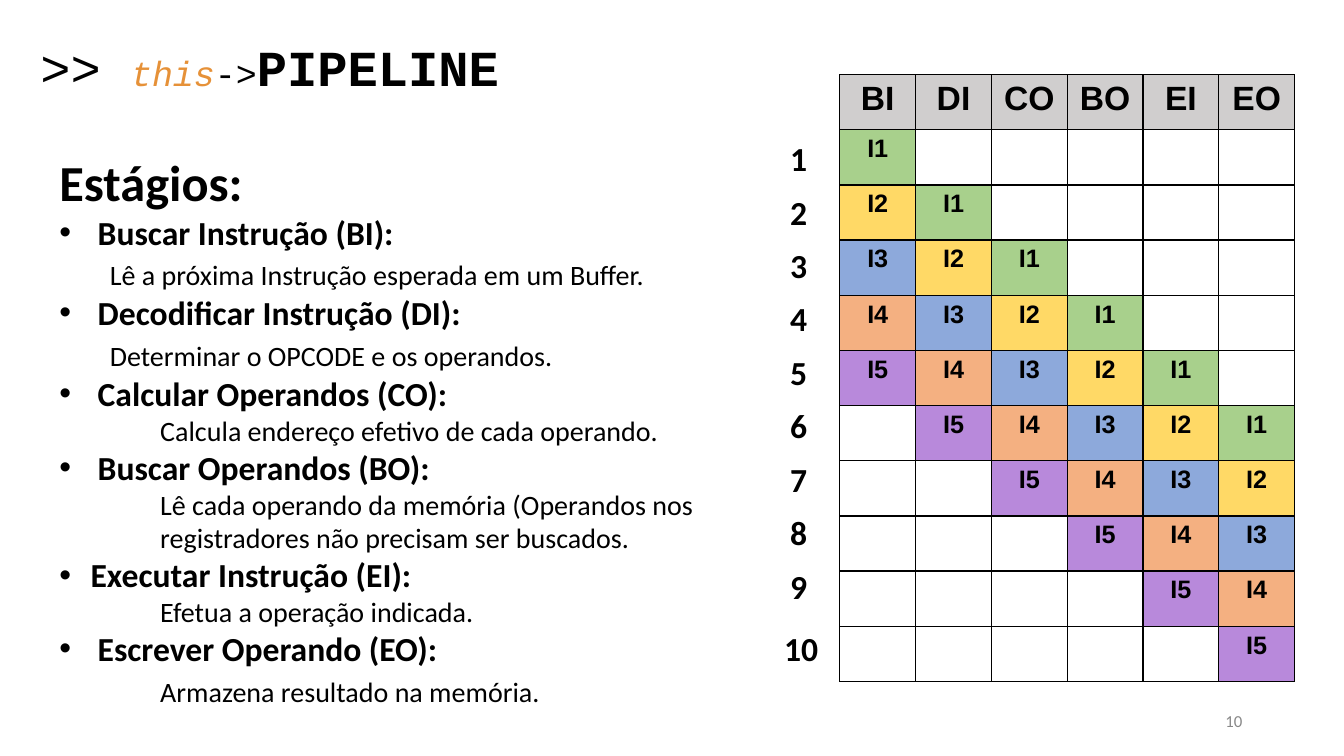
from dataclasses import dataclass

from lxml import etree
from pptx import Presentation
from pptx.dml.color import RGBColor
from pptx.enum.text import MSO_ANCHOR, PP_ALIGN
from pptx.oxml.ns import qn
from pptx.util import Emu, Inches, Pt

CENTER, RIGHT = PP_ALIGN.CENTER, PP_ALIGN.RIGHT
TOP, MIDDLE = MSO_ANCHOR.TOP, MSO_ANCHOR.MIDDLE
SLIDE_WIDTH, SLIDE_HEIGHT = Inches(13.33), Inches(7.5)


@dataclass(frozen=True)
class Theme:
    body: str = "Calibri"
    code: str = "Courier New"
    grid: str = "Arial"
    ink: str = "000000"
    accent: str = "E69138"
    muted: str = "888888"
    header_fill: str = "D0CECE"
    instruction_fills: tuple[str, ...] = ("A8D08C", "FFD966", "8DA9DB", "F4B081", "B889DB")
    title: int = 36
    keyword: int = 25
    heading: int = 24
    detail: int = 20
    cell: int = 18
    footer: int = 12
    border: int = 1


THEME = Theme()


@dataclass(frozen=True)
class Area:
    """Left, top, width and height in percent of the slide."""
    left: float
    top: float
    width: float
    height: float


@dataclass(frozen=True)
class Style:
    size: float
    font: str = THEME.body
    color: str = THEME.ink
    bold: bool = False
    italic: bool = False


@dataclass(frozen=True)
class Stage:
    code: str
    name: str
    detail: str
    detail_indent: float
    level: int = 0
    tab_size: int = 0  # 0: the detail has no leading tab
    hanging: float = 0.38


STAGES = (
    Stage("BI", "Buscar Instrução", "Lê a próxima Instrução esperada em um Buffer.", 0, 0, THEME.heading),
    Stage("DI", "Decodificar Instrução", "Determinar o OPCODE e os operandos.", 0, 0, THEME.heading),
    Stage("CO", "Calcular Operandos", "Calcula endereço efetivo de cada operando.", 0.5, 1, THEME.cell),
    Stage("BO", "Buscar Operandos",
          "Lê cada operando da memória (Operandos nos registradores não precisam ser buscados.", 1, 2),
    Stage("EI", "Executar Instrução", "Efetua a operação indicada.", 1, 2, hanging=0.31),
    Stage("EO", "Escrever Operando", "Armazena resultado na memória.", 0.5, 1, THEME.heading),
)
INSTRUCTIONS = len(THEME.instruction_fills)
CYCLES = len(STAGES) + INSTRUCTIONS - 1

TITLE_AREA = Area(0, 4.13, 100, 9.87)
STAGES_AREA = Area(3.68, 19.33, 54.39, 84.8)
TABLE_COLUMN, TABLE_ROW = 5.64, 7.3
TABLE_AREA = Area(62.49, 9.87, TABLE_COLUMN * len(STAGES), TABLE_ROW * (CYCLES + 1))
FIRST_CYCLE_AREA = Area(58.06, 17.6, 4.5, 14.8)
LAST_CYCLE_AREA = Area(57.61, 82.4, 4.5, 14.8)
CYCLE_STEP = 7.07
NUMBER_AREA = Area(70.67, 92.67, 22.5, 5.33)


def across(percent: float) -> Emu:
    return Emu(round(SLIDE_WIDTH * percent / 100))


def down(percent: float) -> Emu:
    return Emu(round(SLIDE_HEIGHT * percent / 100))


def bounds(area: Area) -> tuple[Emu, Emu, Emu, Emu]:
    return across(area.left), down(area.top), across(area.width), down(area.height)


def add_run(paragraph, text: str, style: Style) -> None:
    run = paragraph.add_run()
    run.text = text
    font = run.font
    font.size, font.name = Pt(style.size), style.font
    font.bold, font.italic = style.bold, style.italic
    font.color.rgb = RGBColor.from_string(style.color)


def add_text(slide, area: Area, parts: tuple[tuple[str, Style], ...], align=None, anchor=TOP):
    frame = slide.shapes.add_textbox(*bounds(area)).text_frame
    frame.word_wrap, frame.vertical_anchor = True, anchor
    frame.paragraphs[0].alignment = align
    for text, style in parts:
        add_run(frame.paragraphs[0], text, style)
    return frame


def indent(paragraph, left: float, first: float) -> None:
    properties = paragraph._p.get_or_add_pPr()
    properties.set("marL", str(Inches(left)))
    properties.set("indent", str(Inches(first)))


def add_bullet(paragraph, hanging: float) -> None:
    indent(paragraph, hanging, -hanging)
    properties = paragraph._p.get_or_add_pPr()
    color = etree.SubElement(properties, qn("a:buClr"))
    etree.SubElement(color, qn("a:srgbClr"), val=THEME.ink)
    etree.SubElement(properties, qn("a:buFont"), typeface=THEME.grid)
    etree.SubElement(properties, qn("a:buChar"), char="•")


def add_stage(frame, stage: Stage) -> None:
    heading = frame.add_paragraph()
    add_bullet(heading, stage.hanging)
    add_run(heading, f"{stage.name} ({stage.code}):", Style(THEME.heading, bold=True))
    detail = frame.add_paragraph()
    detail.level = stage.level
    indent(detail, stage.detail_indent, 0)
    if stage.tab_size:
        add_run(detail, "\t", Style(stage.tab_size))
    add_run(detail, stage.detail, Style(THEME.detail))


def add_borders(cell) -> None:
    properties = cell._tc.get_or_add_tcPr()
    for position, side in enumerate(("a:lnL", "a:lnR", "a:lnT", "a:lnB")):
        line = etree.Element(qn(side), w=str(Pt(THEME.border)))
        fill = etree.SubElement(line, qn("a:solidFill"))
        etree.SubElement(fill, qn("a:srgbClr"), val=THEME.ink)
        properties.insert(position, line)


def fill_cell(cell, text: str, size: int, color: str) -> None:
    cell.fill.solid()
    cell.fill.fore_color.rgb = RGBColor.from_string(color)
    paragraph = cell.text_frame.paragraphs[0]
    paragraph.alignment = CENTER
    add_run(paragraph, text, Style(size, THEME.grid, bold=True))


def add_pipeline_table(slide) -> None:
    table = slide.shapes.add_table(CYCLES + 1, len(STAGES), *bounds(TABLE_AREA)).table
    table.first_row = table.horz_banding = False
    for column in table.columns:
        column.width = across(TABLE_COLUMN)
    for cycle, row in enumerate(table.rows):
        row.height = down(TABLE_ROW)
        for position, stage in enumerate(STAGES):
            cell = table.cell(cycle, position)
            instruction = cycle - position  # each instruction moves one stage per cycle
            if cycle == 0:
                fill_cell(cell, stage.code, THEME.heading, THEME.header_fill)
            elif 1 <= instruction <= INSTRUCTIONS:
                fill_cell(cell, f"I{instruction}", THEME.cell, THEME.instruction_fills[instruction - 1])
            else:
                cell.fill.background()
            add_borders(cell)


def main() -> None:
    deck = Presentation()
    deck.slide_width, deck.slide_height = SLIDE_WIDTH, SLIDE_HEIGHT
    slide = deck.slides.add_slide(deck.slide_layouts[6])

    # Stage list
    stage_list = add_text(slide, STAGES_AREA, (("Estágios:", Style(THEME.title, bold=True)),))
    for stage in STAGES:
        add_stage(stage_list, stage)

    # Pipeline table with its cycle numbers
    add_pipeline_table(slide)
    first = FIRST_CYCLE_AREA
    for cycle in range(1, CYCLES + 1):
        top = first.top + CYCLE_STEP * (cycle - 1)
        area = LAST_CYCLE_AREA if cycle == CYCLES else Area(first.left, top, first.width, first.height)
        add_text(slide, area, ((str(cycle), Style(THEME.heading, bold=True)),))

    # Title
    title = add_text(slide, TITLE_AREA, (
        (">> ", Style(THEME.title, THEME.code)),
        ("this", Style(THEME.keyword, THEME.code, THEME.accent, italic=True)),
        ("->", Style(THEME.keyword, THEME.code)),
        ("PIPELINE", Style(THEME.title, THEME.code, bold=True)),
    ))
    title.margin_left = across(3)

    # Slide number
    add_text(slide, NUMBER_AREA, (("10", Style(THEME.footer, color=THEME.muted)),), RIGHT, MIDDLE)
    deck.save("out.pptx")


if __name__ == "__main__":
    main()
